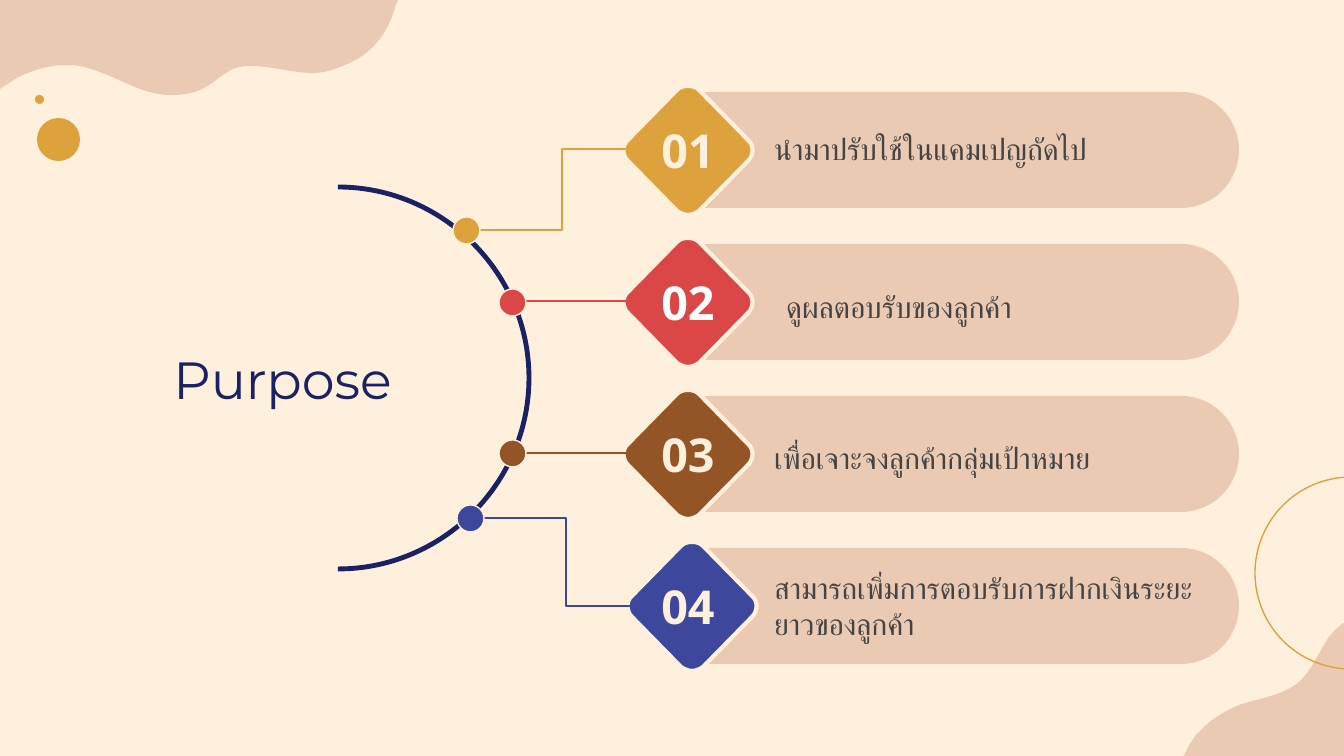
"""Build the Purpose slide: four numbered aims branching from a half circle."""
import dataclasses
import typing

import lxml.etree
import pptx
import pptx.dml.color
import pptx.enum.shapes
import pptx.enum.text
import pptx.oxml.ns
import pptx.util

PX_PER_INCH = 134.4
SCALE = 914400 / PX_PER_INCH
PITCH = 152
SHAPES = pptx.enum.shapes.MSO_SHAPE
ALIGN = pptx.enum.text.PP_ALIGN
qn = pptx.oxml.ns.qn

Point = tuple[int, int]
Segment = tuple[Point, ...]
Box = tuple[int, int, int, int]


@dataclasses.dataclass(frozen=True)
class Theme:
    """Colours, fonts and type sizes of the slide."""
    cream: str = "FFF0DE"
    sand: str = "EBCAB3"
    gold: str = "DEA23C"
    red: str = "DB4646"
    brown: str = "945526"
    blue: str = "3D489C"
    navy: str = "1A2263"
    grey: str = "444444"
    white: str = "FFFFFF"
    heading_font: str = "Montserrat"
    body_font: str = "Open Sans"
    heading_size: int = 28
    number_size: int = 25
    body_size: int = 16


THEME = Theme()


@dataclasses.dataclass(frozen=True)
class Aim:
    """One numbered aim with its diamond, link and dot."""
    text: str
    colour: str
    dot: Point
    link_end: Point
    text_at: Point
    number_colour: str = THEME.cream
    diamond_left: int = 622
    bend: float | None = None


AIMS = [
    Aim("นำมาปรับใช้ในแคมเปญถัดไป", THEME.gold, (453, 217), (457, 230), (761, 130), bend=0.39),
    Aim("ดูผลตอบรับของลูกค้า", THEME.red, (499, 289), (515, 301), (773, 288),
        number_colour=THEME.white),
    Aim("เพื่อเจาะจงลูกค้ากลุ่มเป้าหมาย", THEME.brown, (499, 440), (513, 453), (761, 439)),
    Aim("สามารถเพิ่มการตอบรับการฝากเงินระยะยาวของลูกค้า", THEME.blue, (457, 505), (470, 518),
        (761, 587), diamond_left=626, bend=0.41),
]

TOP_BLOB: list[Segment] = [
    ((0, 0),), ((0, 89),), ((9, 83), (17, 77), (28, 73)), ((43, 67), (55, 65), (66, 65)),
    ((91, 65), (110, 77), (140, 89)), ((151, 93), (161, 95), (172, 95)),
    ((184, 95), (195, 93), (206, 87)), ((222, 78), (228, 66), (249, 66)),
    ((273, 66), (292, 73), (313, 73)), ((321, 73), (331, 71), (340, 67)),
    ((371, 56), (388, 35), (396, 4)), ((397, 3), (398, 1), (398, 0)),
]
CORNER_BLOB: list[Segment] = [
    ((1196, 735),), ((1198, 734), (1199, 732), (1200, 731)),
    ((1211, 719), (1226, 710), (1242, 704)), ((1258, 699), (1277, 696), (1292, 687)),
    ((1310, 676), (1317, 655), (1329, 637)), ((1336, 628), (1347, 618), (1359, 617)),
    ((1384, 614), (1394, 638), (1394, 660)), ((1394, 685), (1382, 710), (1370, 732)),
    ((1359, 753), (1344, 771), (1328, 786)), ((1304, 808), (1274, 829), (1243, 837)),
    ((1220, 844), (1193, 836), (1181, 816)), ((1167, 790), (1180, 757), (1196, 735)),
]
HALF_CIRCLE: list[Segment] = [
    ((338, 187),), ((443, 187), (529, 273), (529, 378)), ((529, 483), (443, 569), (338, 569)),
]
DIAMOND: list[Segment] = [
    ((66, 0),), ((62, 0), (58, 1), (55, 4)), ((6, 54),), ((0, 59), (0, 69), (6, 75)),
    ((55, 125),), ((58, 127), (62, 129), (66, 129)), ((70, 129), (74, 127), (77, 125)),
    ((126, 75),), ((132, 69), (132, 59), (126, 54)), ((77, 4),), ((74, 1), (70, 0), (66, 0)),
]


def emu(px: float) -> int:
    """Turn px into EMU."""
    return round(px * SCALE)


def rgb(colour: str) -> pptx.dml.color.RGBColor:
    """Turn a hex string into a colour."""
    return pptx.dml.color.RGBColor.from_string(colour)


def assign(target: typing.Any, values: dict[str, typing.Any]) -> None:
    """Set each named attribute on the target."""
    for name, value in values.items():
        setattr(target, name, value)


def paint(shape: typing.Any, fill: str | None, line: str | None = None, width: float = 0.75) -> None:
    """Give a shape its fill and outline, without shadow."""
    shape.shadow.inherit = False
    for part, colour in ((shape.fill, fill), (shape.line.fill, line)):
        if colour is None:
            part.background()
        else:
            part.solid()
            part.fore_color.rgb = rgb(colour)
    if line:
        shape.line.width = pptx.util.Pt(width)


def draw_outline(slide: typing.Any, segments: list[Segment], close: bool = True,
                 offset: Point = (0, 0)) -> typing.Any:
    """Draw an outline whose three-point segments are cubic curves."""
    start, *rest = [(emu(x + offset[0]), emu(y + offset[1]))
                    for segment in segments for x, y in segment]
    builder = slide.shapes.build_freeform(*start, scale=1.0)
    builder.add_line_segments(rest, close=close)
    outline = builder.convert_to_shape()
    steps = iter(list(outline._element.iter(qn("a:lnTo"))))
    for segment in segments[1:]:
        first, *others = [next(steps) for _ in segment]
        if others:
            curve = lxml.etree.Element(qn("a:cubicBezTo"))
            first.addprevious(curve)
            for step in (first, *others):
                curve.append(step[0])
                step.getparent().remove(step)
    return outline


def draw_preset(slide: typing.Any, kind: typing.Any, box: Box) -> typing.Any:
    """Draw a preset shape in a px box."""
    return slide.shapes.add_shape(kind, *map(emu, box))


def write(holder: typing.Any, text: str, align: typing.Any, font: dict[str, typing.Any],
          colour: str) -> None:
    """Fill a text holder with one formatted paragraph."""
    frame = holder.text_frame
    inset = pptx.util.Inches(0.1)
    assign(frame, {"word_wrap": True, "auto_size": pptx.enum.text.MSO_AUTO_SIZE.NONE,
                   "vertical_anchor": pptx.enum.text.MSO_ANCHOR.MIDDLE,
                   "margin_left": inset, "margin_right": inset,
                   "margin_top": inset, "margin_bottom": inset})
    paragraph = frame.paragraphs[0]
    paragraph.alignment = align
    run = paragraph.add_run()
    run.text = text
    assign(run.font, font)
    run.font.color.rgb = rgb(colour)


def draw_link(slide: typing.Any, aim: Aim, start: Point) -> None:
    """Link a diamond to its dot, bent where the aim says so."""
    kinds = pptx.enum.shapes.MSO_CONNECTOR
    kind = kinds.STRAIGHT if aim.bend is None else kinds.ELBOW
    link = slide.shapes.add_connector(kind, *map(emu, (*start, *aim.link_end)))
    link.line.color.rgb = rgb(aim.colour)
    link.line.width = pptx.util.Pt(0.75)
    properties = link._element.spPr
    lxml.etree.SubElement(properties, qn("a:effectLst"))
    if aim.bend is not None:
        guides = properties.find(qn("a:prstGeom")).get_or_add_avLst()
        lxml.etree.SubElement(guides, qn("a:gd"), name="adj1", fmla=f"val {round(aim.bend * 100000)}")


def draw_aim(slide: typing.Any, aim: Aim, index: int) -> None:
    """Draw one aim with its pill, link, dot, diamond and texts."""
    drop = index * PITCH
    pill = draw_preset(slide, SHAPES.ROUNDED_RECTANGLE, (652, 92 + drop, 587, 116))
    pill.adjustments[0] = 0.5
    paint(pill, THEME.sand)
    diamond = draw_outline(slide, DIAMOND, offset=(aim.diamond_left, 86 + drop))
    paint(diamond, aim.colour, THEME.cream, 2.25)
    draw_link(slide, aim, (aim.diamond_left + 7, 149 + drop + index // 3))
    paint(draw_preset(slide, SHAPES.OVAL, (*aim.dot, 27, 27)), aim.colour, THEME.cream)
    number = slide.shapes.add_textbox(*map(emu, (622, 92 + drop, 132, 116)))
    write(number, f"{index + 1:02}", ALIGN.CENTER,
          {"name": THEME.body_font, "size": pptx.util.Pt(THEME.number_size), "bold": True},
          aim.number_colour)
    label = slide.shapes.add_textbox(*map(emu, (*aim.text_at, 448, 37)))
    write(label, aim.text, ALIGN.LEFT,
          {"name": THEME.body_font, "size": pptx.util.Pt(THEME.body_size)}, THEME.grey)


def main() -> None:
    """Build and save the slide."""
    deck = pptx.Presentation()
    assign(deck, {"slide_width": emu(1344), "slide_height": emu(756)})
    slide = deck.slides.add_slide(deck.slide_layouts[5])
    slide.background.fill.solid()
    slide.background.fill.fore_color.rgb = rgb(THEME.cream)
    for blob in (TOP_BLOB, CORNER_BLOB):
        paint(draw_outline(slide, blob), THEME.sand)
    for box in ((35, 95, 9, 9), (37, 118, 43, 43)):
        paint(draw_preset(slide, SHAPES.OVAL, box), THEME.gold)
    paint(draw_preset(slide, SHAPES.OVAL, (1255, 477, 192, 192)), None, THEME.gold)
    title = slide.shapes.title
    assign(title, dict(zip(("left", "top", "width", "height"), map(emu, (85, 293, 395, 171)))))
    write(title, "Purpose", ALIGN.CENTER,
          {"name": THEME.heading_font, "size": pptx.util.Pt(THEME.heading_size)}, THEME.navy)
    paint(draw_outline(slide, HALF_CIRCLE, close=False), None, THEME.navy, 2.61)
    for index, aim in enumerate(AIMS):
        draw_aim(slide, aim, index)
    deck.save("out.pptx")


if __name__ == "__main__":
    main()
